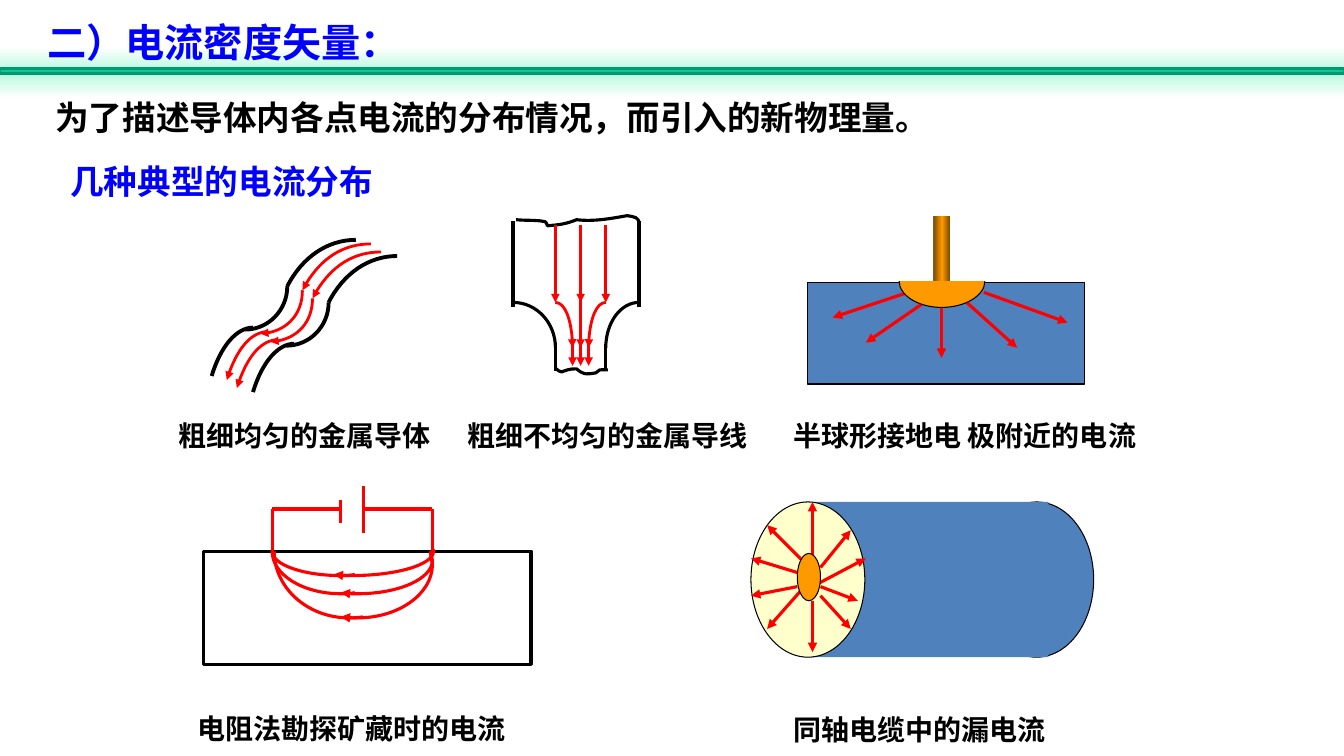
from dataclasses import dataclass
from copy import deepcopy
from pptx import Presentation
from pptx.dml.color import RGBColor
from pptx.enum.shapes import MSO_SHAPE as Kind, MSO_CONNECTOR as Link
from pptx.enum.text import MSO_ANCHOR as Anchor, MSO_AUTO_SIZE as Auto, PP_ALIGN as Align
from pptx.oxml.ns import qn
from pptx.util import Cm, Pt
from lxml.etree import SubElement

# Content: all places are in inches and are turned into Cm by cm()
TITLE = "二）电流密度矢量："
INTRO = "为了描述导体内各点电流的分布情况，而引入的新物理量。"
HEAD = "几种典型的电流分布"
LABELS = [
    ("粗细均匀的金属导体", 1.67, 4.03, 2.82),
    ("粗细不均匀的金属导线", 4.54, 4.03, 3.09),
    ("半球形接地电 极附近的电流", 7.77, 4.03, 3.72),
    ("电阻法勘探矿藏时的电流", 1.86, 6.94, 3.8),
    ("同轴电缆中的漏电流", 7.77, 6.95, 3.33),
]

# Bent wire: three curves, measured from the upper end of each strand
BENDS = [
    [(0, 0), (-0.28, 0), (-0.53, 0.17), (-0.68, 0.46)],
    [(-0.68, 0.46), (-0.68, 0.7), (-0.87, 0.89), (-1.1, 0.89)],
    [(-1.02, 0.87), (-1.18, 0.87), (-1.34, 1.05), (-1.43, 1.35)],
]
WALLS = [(3.53, 2.38), (3.94, 2.54)]
FLOWS = [(3.68, 2.42), (3.78, 2.5)]

# Tapered wire
TOP = [(5.12, 2.18), (5.22, 2.19), (5.32, 2.18), (5.41, 2.2), (5.43, 2.21), (5.42, 2.23),
       (5.43, 2.24), (5.56, 2.23), (5.62, 2.22), (5.72, 2.18), (5.89, 2.2), (6.05, 2.17),
       (6.22, 2.14), (6.3, 2.15), (6.34, 2.16), (6.34, 2.22)]
BASE = [(5.52, 3.66), (5.54, 3.67), (5.54, 3.69), (5.57, 3.69), (5.59, 3.69), (5.61, 3.67),
        (5.63, 3.67), (5.66, 3.66), (5.69, 3.66), (5.72, 3.66), (5.78, 3.71), (5.8, 3.72),
        (5.91, 3.7), (5.97, 3.66), (5.92, 3.67), (6.03, 3.67)]

# Ground electrode
BOWL = [(9.77, 2.79), (9.77, 2.93), (9.58, 3.05), (9.34, 3.05),
        (9.11, 3.05), (8.92, 2.93), (8.92, 2.79)]
RAYS = [(9.01, 2.9, 8.26, 3.15), (9.17, 3, 8.59, 3.4), (9.34, 3.05, 9.34, 3.55),
        (9.59, 3, 10.09, 3.45), (9.76, 2.9, 10.59, 3.2)]

# Ore survey: circuit, then (low point, left x, left mid, start, right x, right y, right mid, end x)
WIRES = [(2.7, 5.05, 2.7, 5.47), (2.7, 5.05, 3.38, 5.05), (3.61, 5.05, 4.29, 5.05),
         (4.29, 5.05, 4.29, 5.47), (3.38, 4.96, 3.38, 5.19), (3.61, 4.82, 3.61, 5.29)]
ARCS = [
    (5.71, 2.7, 3.38, (4.3, 5.45), 4.3, 5.47, 3.49, 3.31),
    (5.89, 2.7, 3.38, (4.27, 5.47), 4.29, 5.56, 3.55, 3.38),
    (6.13, 2.72, 3.46, (4.27, 5.47), 4.29, 5.6, 3.55, 3.38),
]

# Coaxial cable
LEAKS = [(7.98, 5.58, 7.61, 5.21), (8.06, 5.54, 8.06, 4.98), (7.91, 5.68, 7.45, 5.54),
         (7.91, 5.82, 7.45, 5.91), (8.06, 5.96, 8.06, 6.47), (8.14, 5.91, 8.44, 6.24),
         (8.14, 5.63, 8.44, 5.26), (8.14, 5.82, 8.51, 5.96), (7.98, 5.82, 7.61, 6.24),
         (8.06, 5.82, 8.59, 5.54)]


@dataclass(frozen=True)
class Theme:
    font: str = "Times New Roman"
    big: int = 28
    mid: int = 24
    small: int = 20
    black: str = "000000"
    white: str = "FFFFFF"
    red: str = "FF0000"
    ink: str = "0000FF"
    steel: str = "4F81BD"
    gold: str = "FF9900"
    brown: str = "764700"
    cream: str = "FFFFCC"
    green: str = "00CC99"
    edge: str = "009771"
    mint: str = "B4F8DC"


T = Theme()
rgb = RGBColor.from_string


def cm(val):
    return Cm(val * 2.54)


deck = Presentation()
deck.slide_width, deck.slide_height = cm(13.333), cm(7.5)
slide = deck.slides.add_slide(deck.slide_layouts[5])
parts = slide.shapes


# Drawing tools
def style(item, fill=None, line=None, width=2.25, arrow=False):
    if fill:
        item.fill.solid()
        item.fill.fore_color.rgb = rgb(fill)
    elif hasattr(item, "fill"):
        item.fill.background()
    if not line:
        item.line.fill.background()
        return
    item.line.color.rgb = rgb(line)
    item.line.width = Pt(width)
    if arrow:
        SubElement(item.line._get_or_add_ln(), qn("a:tailEnd")).set("type", "triangle")


def shape(kind, x, y, w, h, **look):
    item = parts.add_shape(kind, cm(x), cm(y), cm(w), cm(h))
    item.shadow.inherit = False
    style(item, **look)
    return item


def blend(item, tones, angle):
    item.fill.gradient()
    item.fill.gradient_angle = angle
    stops = item.fill._fill._gradFill.find(qn("a:gsLst"))
    stops.insert(1, deepcopy(stops[0]))
    for num, (stop, tone) in enumerate(zip(item.fill.gradient_stops, tones)):
        stop.color.rgb = rgb(tone)
        stop.position = num / 2


def line(x1, y1, x2, y2, **look):
    item = parts.add_connector(Link.STRAIGHT, cm(x1), cm(y1), cm(x2), cm(y2))
    style(item, **look)
    SubElement(item._element.spPr, qn("a:effectLst"))


def curve(dots, **look):
    """Draw a start point followed by groups of three Bezier points."""
    dots = [(cm(x), cm(y)) for x, y in dots]
    pen = parts.build_freeform(*dots[0])
    pen.add_line_segments(dots[1:], close=False)
    item = pen.convert_to_shape()
    item.shadow.inherit = False
    style(item, **look)
    route = next(item._element.iter(qn("a:path")))
    legs = route.findall(qn("a:lnTo"))
    for num in range(0, len(legs), 3):
        bend = SubElement(route, qn("a:cubicBezTo"))
        for leg in legs[num:num + 3]:
            bend.append(leg[0])
            route.remove(leg)


def text(words, x, y, w, h, size=T.small, color=T.black, space=None, box=None):
    box = box or parts.add_textbox(0, 0, 0, 0)
    box.left, box.top, box.width, box.height = cm(x), cm(y), cm(w), cm(h)
    frame = box.text_frame
    frame.word_wrap, frame.auto_size = True, Auto.NONE
    frame.vertical_anchor = Anchor.MIDDLE
    para = frame.paragraphs[0]
    para.alignment, para.line_spacing = Align.LEFT, space
    run = para.add_run()
    run.text = words
    font = run.font
    font.name, font.size, font.bold = T.font, Pt(size), True
    font.color.rgb = rgb(color)


# Band, title and lead text
glow = shape(Kind.RECTANGLE, 0, 0.47, 13.333, 0.5)
blend(glow, (T.white, T.mint, T.white), 90)
shape(Kind.RECTANGLE, 0, 0.68, 13.333, 0.05, fill=T.green, line=T.edge, width=2)
parts._spTree.append(parts.title._element)
text(TITLE, 0.37, 0.13, 4.05, 0.57, size=T.big, color=T.ink, box=parts.title)
text(INTRO, 0.45, 0.91, 9.1, 0.51, size=T.mid)
text(HEAD, 0.6, 1.55, 7.08, 0.5, size=T.mid, color=T.ink)
for words, x, y, w in LABELS:
    text(words, x, y, w, 0.51, space=1.2)

# Bent wire
for ends, look in ((WALLS, dict(line=T.black, width=2.75)),
                   (FLOWS, dict(line=T.red, width=2, arrow=True))):
    for x, y in ends:
        for bend in BENDS:
            curve([(x + dx, y + dy) for dx, dy in bend], **look)

# Tapered wire
wall = dict(line=T.black)
flow = dict(line=T.red, width=2, arrow=True)
curve(TOP, **wall)
curve(BASE, **wall)
for side, neck, lane in ((5.09, 5.51, 5.68), (6.34, 6.01, 5.84)):
    line(side, 2.19, side, 3.05, **wall)
    line(neck, 3.41, neck, 3.68, **wall)
    for x1, x2, look in ((side, neck, wall), (neck, lane, flow)):
        half = x1 + (x2 - x1) * 0.55
        curve([(x1, 3), (half, 3), (x2, 3.2), (x2, 3.45)], **look)
    line(neck, 2.23, neck, 3, **flow)
    line(lane, 3.41, lane, 3.63, **flow)
for y1, y2 in ((2.23, 3), (2.82, 3.45), (3.41, 3.63)):
    line(5.76, y1, 5.76, y2, **flow)

# Ground electrode
shape(Kind.RECTANGLE, 8.01, 2.8, 2.75, 1.01, fill=T.steel, line=T.black, width=0.75)
rod = shape(Kind.RECTANGLE, 9.26, 2.14, 0.17, 0.66)
blend(rod, (T.brown, T.gold, T.brown), 0)
for ray in RAYS:
    line(*ray, line=T.red, arrow=True)
curve(BOWL, fill=T.gold, line=T.black, width=0.75)

# Ore survey
shape(Kind.RECTANGLE, 2.02, 5.47, 3.25, 1.12, line=T.black, width=2.5)
for wire in WIRES:
    line(*wire, line=T.red)
K = 0.55  # Bezier handle of a quarter ellipse
for low, x1, m1, start, x2, y2, m2, end in ARCS:
    curve([(m1 + 0.14, low - 0.01), (m1 + 0.09, low), (m1 + 0.05, low), (m1, low),
           (m1 - K * (m1 - x1), low), (x1, 5.47 + K * (low - 5.47)), (x1, 5.47)], line=T.red)
    curve([start, (x2 - 0.01, y2 - 0.03), (x2, y2 - 0.02), (x2, y2),
           (x2, y2 + K * (low - y2)), (m2 + K * (x2 - m2), low), (m2, low),
           (m2 - 0.06, low), (m2 - 0.11, low), (end, low - 0.01)], line=T.red, arrow=True)

# Coaxial cable
thin = dict(line=T.black, width=0.75)
shape(Kind.OVAL, 9.72, 4.98, 1.13, 1.54, fill=T.steel, **thin)
shape(Kind.RECTANGLE, 7.98, 4.98, 2.42, 1.54, fill=T.steel)
shape(Kind.OVAL, 7.45, 4.98, 1.13, 1.54, fill=T.cream, **thin)
for leak in LEAKS:
    line(*leak, line=T.red, arrow=True)
shape(Kind.OVAL, 7.91, 5.49, 0.23, 0.47, fill=T.gold, **thin)

deck.save("out.pptx")
